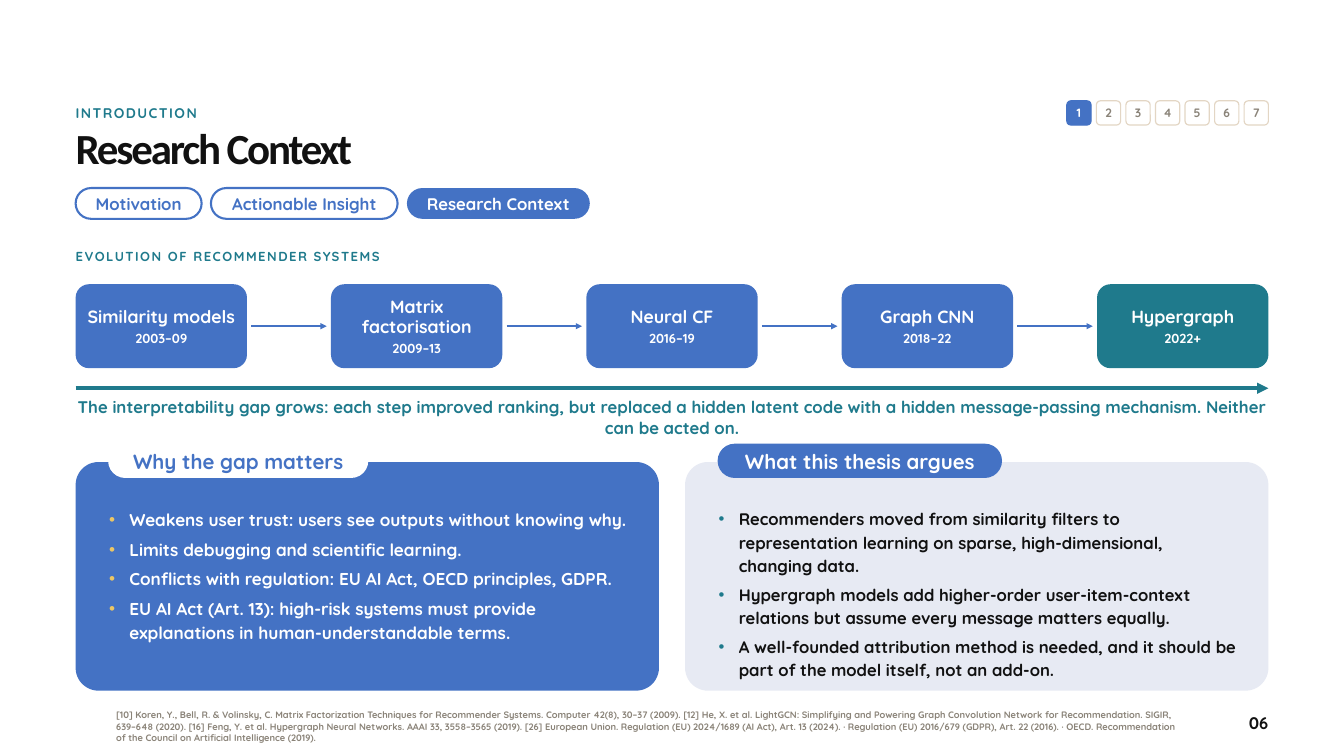
from lxml import etree
from pptx import Presentation
from pptx.dml.color import RGBColor
from pptx.enum import shapes, text
from pptx.oxml import ns
from pptx.util import Pt

BLUE = RGBColor(0x44, 0x72, 0xC4)
TEAL = RGBColor(0x1F, 0x7A, 0x8C)
WHITE = RGBColor(0xFF, 0xFF, 0xFF)
INK = RGBColor(0x11, 0x11, 0x11)
GREY = RGBColor(0x8A, 0x83, 0x78)
SAND = RGBColor(0xE3, 0xD6, 0xC4)
GOLD = RGBColor(0xEC, 0xC6, 0x65)
PALE = RGBColor(0xE7, 0xEA, 0xF3)
LEFT, RIGHT = 81, 1359
WIDTH = RIGHT - LEFT
ALIGN = text.PP_ALIGN
ANCHOR = text.MSO_ANCHOR


def write(shape, lines, color, align=ALIGN.LEFT, anchor=ANCHOR.TOP, inset=(0, 0),
          font="Quicksand", tracking=0):
    """Fill a shape with lines of (wording, size, line spacing, space before)."""
    frame = shape.text_frame
    frame.word_wrap = True
    frame.auto_size = text.MSO_AUTO_SIZE.NONE
    frame.vertical_anchor = anchor
    frame.margin_left = frame.margin_right = Pt(inset[0])
    frame.margin_top = frame.margin_bottom = Pt(inset[1])
    frame.text = "\n".join(line[0] for line in lines)
    for paragraph, (_, size, leading, before) in zip(frame.paragraphs, lines):
        paragraph.alignment = align
        paragraph.line_spacing = Pt(leading)
        paragraph.space_before = Pt(before)
        for run in paragraph.runs:
            run.font.name = font
            run.font.size = Pt(size)
            run.font.bold = True
            run.font.color.rgb = color
            if tracking:
                run.font._element.set("spc", str(round(tracking * 100)))


def add_box(left, top, width, height, radius, fill=None, line=None, weight=2.25):
    box = slide.shapes.add_shape(shapes.MSO_SHAPE.ROUNDED_RECTANGLE,
                                 Pt(left), Pt(top), Pt(width), Pt(height))
    box.shadow.inherit = False
    box.adjustments[0] = radius
    if fill is None:
        box.fill.background()
    else:
        box.fill.solid()
        box.fill.fore_color.rgb = fill
    if line is None:
        box.line.fill.background()
    else:
        box.line.color.rgb = line
        box.line.width = Pt(weight)
    return box


presentation = Presentation()
presentation.slide_width = Pt(1440)
presentation.slide_height = Pt(810)
slide = presentation.slides.add_slide(presentation.slide_layouts.get_by_name("Two Content"))
title, *bodies = slide.placeholders

# Title
title.left, title.top, title.width, title.height = Pt(LEFT), Pt(135), Pt(WIDTH), Pt(58)
write(title, [("Research Context", 46, 50.6, 0)], INK, font="Calibri", tracking=-2.3)

# Section labels, caption, references and page number
references = " ".join([
    "[10] Koren, Y., Bell, R. & Volinsky, C. Matrix Factorization Techniques for "
    "Recommender Systems. Computer 42(8), 30–37 (2009).",
    "[12] He, X. et al. LightGCN: Simplifying and Powering Graph Convolution Network for "
    "Recommendation. SIGIR, 639–648 (2020).",
    "[16] Feng, Y. et al. Hypergraph Neural Networks. AAAI 33, 3558–3565 (2019).",
    "[26] European Union. Regulation (EU) 2024/1689 (AI Act), Art. 13 (2024). · "
    "Regulation (EU) 2016/679 (GDPR), Art. 22 (2016). · "
    "OECD. Recommendation of the Council on Artificial Intelligence (2019).",
])
caption = ("The interpretability gap grows: each step improved ranking, but replaced a hidden "
           "latent code with a hidden message-passing mechanism. Neither can be acted on.")
labels = [
    ("INTRODUCTION", (LEFT, 109.5, 1019, 26), 15, 20, TEAL, ALIGN.LEFT, ANCHOR.TOP, 1.6),
    ("EVOLUTION OF RECOMMENDER SYSTEMS", (LEFT, 265, WIDTH, 29), 14, 18, TEAL,
     ALIGN.LEFT, ANCHOR.TOP, 1.6),
    (caption, (LEFT, 423.5, WIDTH, 29), 18, 23, TEAL, ALIGN.CENTER, ANCHOR.TOP, 0),
    (references, (124.5, 756, 1141, 44.6), 10, 12, GREY, ALIGN.LEFT, ANCHOR.MIDDLE, 0),
    ("06", (1273, 763, 86, 26), 18, 22, INK, ALIGN.RIGHT, ANCHOR.TOP, 0),
]
for wording, place, size, leading, color, align, anchor, tracking in labels:
    label = slide.shapes.add_textbox(*map(Pt, place))
    write(label, [(wording, size, leading, 0)], color, align, anchor, tracking=tracking)

# Section tracker
for index in range(7):
    current = index == 0
    step = add_box(1143 + index * 31.67, 108, 26, 26, 0.167,
                   BLUE if current else WHITE, BLUE if current else SAND, 1.25)
    write(step, [(str(index + 1), 13, 15, 0)], WHITE if current else GREY,
          ALIGN.CENTER, ANCHOR.MIDDLE)

# Topic tabs
tab_left = LEFT
for topic, tab_width in [("Motivation", 135), ("Actionable Insight", 200),
                         ("Research Context", 196)]:
    current = topic == title.text_frame.text
    tab = add_box(tab_left, 201.5, tab_width, 33, 0.5,
                  BLUE if current else None, None if current else BLUE)
    write(tab, [(topic, 18, 21.6, 0)], WHITE if current else BLUE,
          ALIGN.CENTER, ANCHOR.MIDDLE, (3.6, 0))
    tab_left += tab_width + 10

# Evolution cards
stages = [("Similarity models", "2003–09"), ("Matrix factorisation", "2009–13"),
          ("Neural CF", "2016–19"), ("Graph CNN", "2018–22"), ("Hypergraph", "2022+")]
card_width = 183.6
pitch = (WIDTH - card_width) / (len(stages) - 1)
arrows = [(LEFT, RIGHT, 416, TEAL, 4)]
for index, (name, years) in enumerate(stages):
    card_left = LEFT + index * pitch
    last = index == len(stages) - 1
    card = add_box(card_left, 304.5, card_width, 90, 0.16, TEAL if last else BLUE)
    write(card, [(name, 19, 21.9, 0), (years, 14, 16.8, 3)], WHITE,
          ALIGN.CENTER, ANCHOR.MIDDLE, (7.2, 3.6))
    if not last:
        arrows.append((card_left + card_width + 4.5, card_left + pitch - 4.5, 349.5, BLUE, 2.25))

for start, end, y, color, weight in arrows:
    arrow = slide.shapes.add_connector(shapes.MSO_CONNECTOR.STRAIGHT,
                                       Pt(start), Pt(y), Pt(end), Pt(y))
    arrow.line.color.rgb = color
    arrow.line.width = Pt(weight)
    etree.SubElement(arrow.line._get_or_add_ln(), ns.qn("a:tailEnd"), type="triangle")
    etree.SubElement(arrow._element.spPr, ns.qn("a:effectLst"))

# Argument panels
panels = [
    (LEFT, "Why the gap matters", 276.5, BLUE, WHITE, WHITE, BLUE, GOLD, 18.4, 25.8, 5.8, [
        "Weakens user trust: users see outputs without knowing why.",
        "Limits debugging and scientific learning.",
        "Conflicts with regulation: EU AI Act, OECD principles, GDPR.",
        "EU AI Act (Art. 13): high-risk systems must provide explanations in "
        "human-understandable terms.",
    ]),
    (RIGHT - 625, "What this thesis argues", 302.5, PALE, INK, BLUE, WHITE, TEAL, 17.9, 25, 5.6, [
        "Recommenders moved from similarity filters to representation learning on sparse, "
        "high-dimensional, changing data.",
        "Hypergraph models add higher-order user-item-context relations but assume every "
        "message matters equally.",
        "A well-founded attribution method is needed, and it should be part of the model "
        "itself, not an add-on.",
    ]),
]
for body, panel in zip(bodies, panels):
    (left, heading, heading_width, fill, color, heading_fill, heading_color,
     bullet_color, size, leading, gap, points) = panel
    add_box(left, 495, 625, 245, 0.1, fill)
    pill = add_box(left + 36, 476.5, heading_width, 34.5, 0.5, heading_fill, heading_fill)
    write(pill, [(heading, 22, 26.4, 0)], heading_color, ALIGN.CENTER, ANCHOR.MIDDLE, (3.6, 0))

    body.left, body.top, body.width, body.height = Pt(left + 36), Pt(542), Pt(556), Pt(176.5)
    write(body, [(point, size, leading, gap if index else 0)
                 for index, point in enumerate(points)], color)
    for paragraph in body.text_frame.paragraphs:
        properties = paragraph._element.get_or_add_pPr()
        properties.set("marL", str(Pt(21.6)))
        properties.set("indent", str(-Pt(21.6)))
        bullet_fill = etree.SubElement(properties, ns.qn("a:buClr"))
        etree.SubElement(bullet_fill, ns.qn("a:srgbClr"), val=str(bullet_color))
        etree.SubElement(properties, ns.qn("a:buChar"), char="•")
    # Bring the list in front of its panel
    slide.shapes._spTree.append(body._element)

presentation.save("out.pptx")
